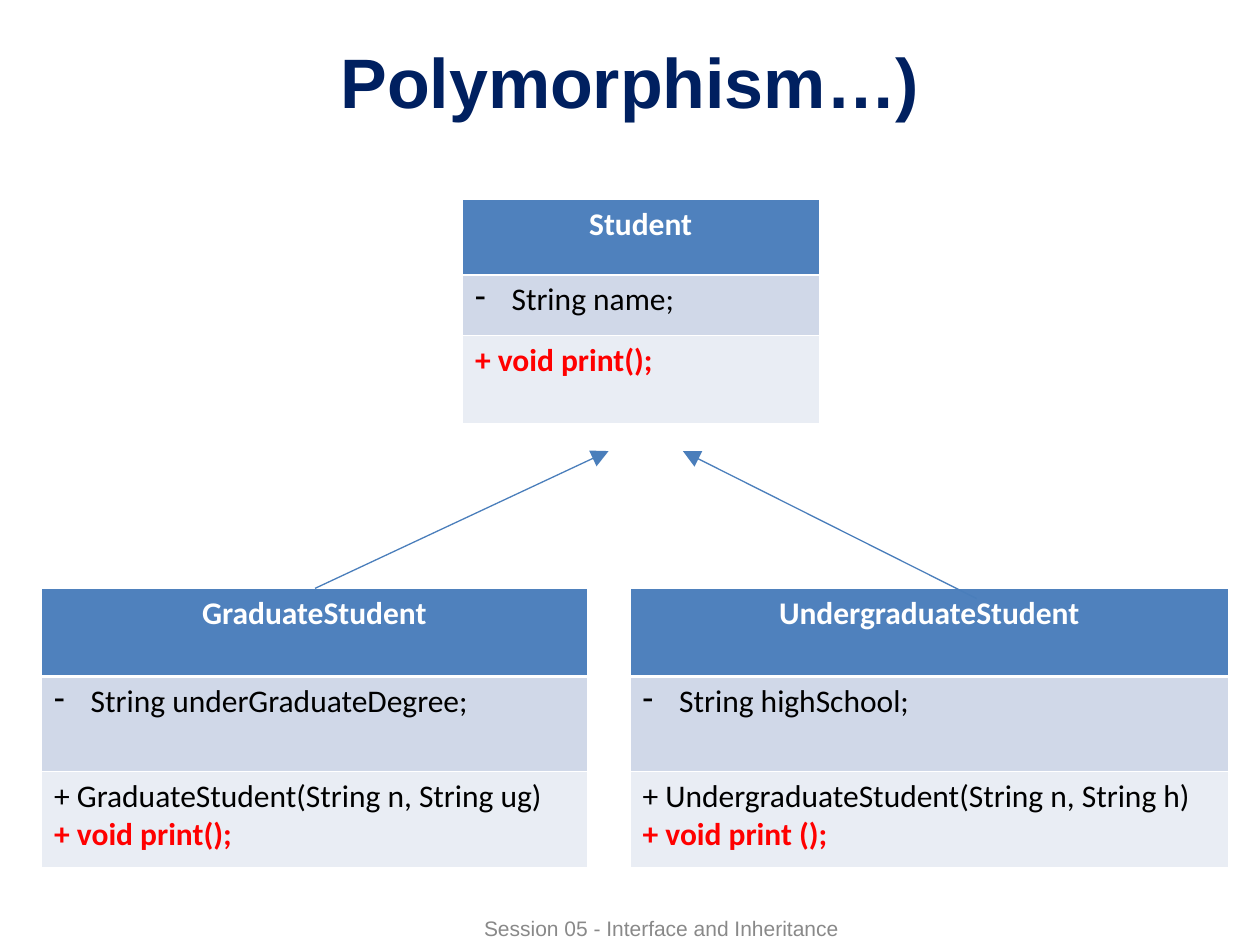
from lxml import etree
from pptx import Presentation
from pptx.dml.color import RGBColor
from pptx.enum import shapes, text
from pptx.oxml import parse_xml
from pptx.oxml.ns import nsdecls, qn
from pptx.util import Inches, Pt

WHITE, BLACK, RED = "FFFFFF", "000000", "FF0000"
ROW_FILLS = ["4F81BD", "D0D8E8", "E9EDF4"]
DASH_INDENT = Inches(0.29)


def write(para, words, align, **font_values):
    """Add one run and set its font from size, name, bold and a hex color."""
    para.alignment = align
    span = para.add_run()
    span.text = words
    span.font.color.rgb = RGBColor.from_string(font_values.pop("color"))
    for name, value in font_values.items():
        setattr(span.font, name, value)


def add_border(cell, side, width):
    cell._tc.get_or_add_tcPr().append(parse_xml(
        f'<a:ln{side} {nsdecls("a")} w="{Pt(width)}"><a:solidFill>'
        f'<a:srgbClr val="{WHITE}"/></a:solidFill></a:ln{side}>'))


deck = Presentation()
deck.slide_width, deck.slide_height = Inches(10), Inches(7.5)
page = deck.slides.add_slide(deck.slide_layouts[6])

# Footer and title
for words, place, size, color, bold in [
    ("Session 05 - Interface and Inheritance", (2.25, 7.23, 6, 0.27), 12, "898989", False),
    ("Polymorphism…)", (0.5, 0.25, 9, 0.78), 40, "002060", True),
]:
    box = page.shapes.add_textbox(*map(Inches, place))
    frame = box.text_frame
    frame.word_wrap = True
    frame.vertical_anchor = text.MSO_ANCHOR.MIDDLE
    write(frame.paragraphs[0], words, text.PP_ALIGN.CENTER,
          size=Pt(size), name="Arial", bold=bold, color=color)

# Class boxes: left, top, width, row heights, name, field, methods
classes = [
    (3.67, 1.58, 2.83, (0.6, 0.48, 0.7), "Student", "String name;",
     ["+ void print();"]),
    (0.33, 4.67, 4.33, (0.7, 0.75, 0.76), "GraduateStudent", "String underGraduateDegree;",
     ["+ GraduateStudent(String n, String ug)", "+ void print();"]),
    (5, 4.67, 4.75, (0.7, 0.75, 0.76), "UndergraduateStudent", "String highSchool;",
     ["+ UndergraduateStudent(String n, String h)", "+ void print ();"]),
]
for left, top, width, heights, class_name, field, methods in classes:
    table = page.shapes.add_table(
        3, 1, *map(Inches, (left, top, width, sum(heights)))).table
    for row, lines in enumerate([[class_name], [field], methods]):
        table.rows[row].height = Inches(heights[row])
        cell = table.cell(row, 0)
        for side in "LRTB":
            under_header = (row, side) in [(0, "B"), (1, "T")]
            add_border(cell, side, 1.47 if under_header else 0.45)
        cell.fill.solid()
        cell.fill.fore_color.rgb = RGBColor.from_string(ROW_FILLS[row])
        for index, words in enumerate(lines):
            frame = cell.text_frame
            para = frame.add_paragraph() if index else frame.paragraphs[0]
            if row == 1:
                props = para._p.get_or_add_pPr()
                props.set("marL", str(DASH_INDENT))
                props.set("indent", str(-DASH_INDENT))
                etree.SubElement(props, qn("a:buChar")).set("char", "-")
            overridden = "print" in words
            write(para, words,
                  text.PP_ALIGN.LEFT if row else text.PP_ALIGN.CENTER,
                  size=Pt(18), name="Calibri", bold=row == 0 or overridden,
                  color=WHITE if row == 0 else RED if overridden else BLACK)

# Inheritance arrows from the subclasses up to Student
for ends in [(2.5, 4.67, 4.83, 3.58), (7.75, 4.75, 5.42, 3.58)]:
    arrow = page.shapes.add_connector(
        shapes.MSO_CONNECTOR.STRAIGHT, *map(Inches, ends))
    arrow.line.color.rgb = RGBColor.from_string("4A7EBB")
    arrow.line.width = Pt(0.75)
    head = etree.SubElement(arrow.line._get_or_add_ln(), qn("a:tailEnd"))
    for name, value in {"type": "triangle", "w": "lg", "len": "lg"}.items():
        head.set(name, value)
    etree.SubElement(arrow._element.spPr, qn("a:effectLst"))

deck.save("out.pptx")
